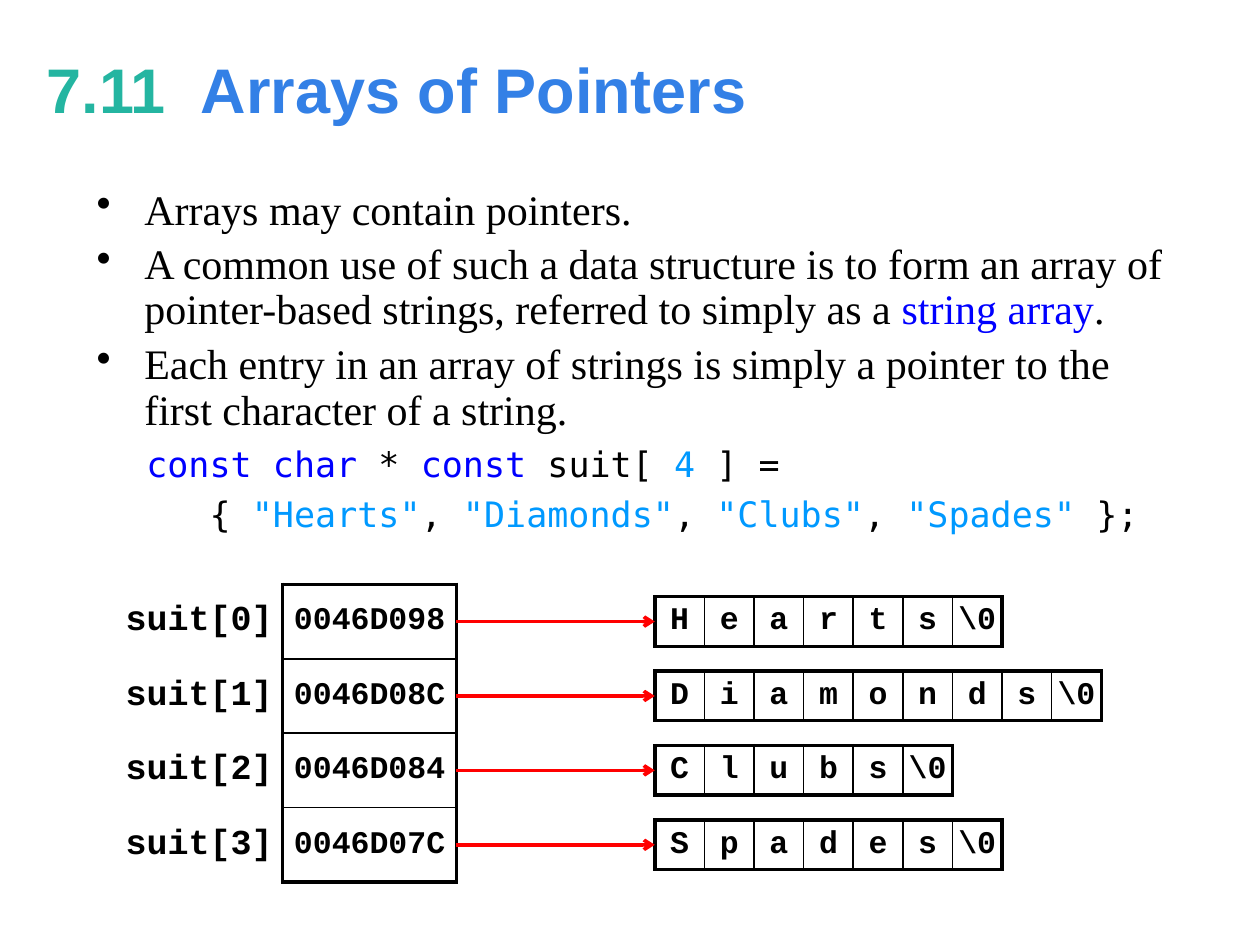
"""Build the slide on arrays of pointers, with a memory diagram of four strings."""
from dataclasses import dataclass
from typing import NamedTuple

from lxml import etree
from pptx import Presentation
from pptx import util as u
from pptx.dml import color
from pptx.enum import shapes, text
from pptx.oxml import ns

BLACK, BLUE, SKY, RED = "000000", "0000FF", "0099FF", "FF0000"
THICK, THIN = 2.25, 1
MONO = "Courier New"
ROW_HEIGHT, LETTER_SIZE = 1.5, 1
SUITS_LEFT, SUITS_TOP, COLUMN_WIDTH = 2.2, 11.78, 3.5
ARROW_LEFT, STRINGS_LEFT = SUITS_LEFT + 2 * COLUMN_WIDTH, 13.2


class Span(NamedTuple):
    text: str
    color: str = BLACK


@dataclass
class Line:
    spans: list[Span]
    size: float
    font: str
    bold: bool = False
    bullet: bool = False
    indent: float = 0
    spacing: float = 1
    before: float = 0


@dataclass
class Cell:
    text: str
    size: float
    align: text.PP_ALIGN
    borders: dict[str, float]
    margins: tuple[float, float] = (0, 0)


class Suit(NamedTuple):
    address: str
    name: str


TITLE = [Line([Span("7.11  ", "24B5A1"), Span("Arrays of Pointers", "3380E6")], 36, "Arial", bold=True)]


def bullet_line(*spans: Span, spacing: float = 0.9, before: float = 5.5) -> Line:
    return Line(list(spans), 24, "Times New Roman", bullet=True, indent=0.96, spacing=spacing, before=before)


def code_line(*spans: Span) -> Line:
    return Line(list(spans), 20, "DejaVu Sans Mono", indent=1, before=4.7)


BODY = [
    bullet_line(Span("Arrays may contain pointers."), spacing=1, before=0),
    bullet_line(
        Span("A common use of such a data structure is to form an array of "
             "pointer-based strings, referred to simply as a "),
        Span("string array", BLUE), Span(".")),
    bullet_line(Span("Each entry in an array of strings is simply a pointer to the "
                     "first character of a string.")),
    code_line(Span("const char", BLUE), Span(" * "), Span("const ", BLUE),
              Span("suit[ "), Span("4", SKY), Span(" ] =")),
    code_line(Span("   { "), Span('"Hearts"', SKY), Span(", "), Span('"Diamonds"', SKY), Span(", "),
              Span('"Clubs"', SKY), Span(", "), Span('"Spades"', SKY), Span(" };")),
]
SUITS = [
    Suit("0046D098", "Hearts"),
    Suit("0046D08C", "Diamonds"),
    Suit("0046D084", "Clubs"),
    Suit("0046D07C", "Spades"),
]


def rgb(value: str) -> color.RGBColor:
    return color.RGBColor.from_string(value)


def add_child(parent, tag: str, **attributes: str):
    return etree.SubElement(parent, ns.qn(tag), attributes)


def write_line(para, line: Line) -> None:
    properties = para._p.get_or_add_pPr()
    properties.set("marL", str(u.Cm(line.indent)))
    properties.set("indent", str(-u.Cm(line.indent) if line.bullet else 0))
    if line.bullet:
        add_child(properties, "a:buChar", char="•")
    else:
        add_child(properties, "a:buNone")
    para.line_spacing, para.space_before = line.spacing, u.Pt(line.before)
    para.font.size, para.font.name, para.font.bold = u.Pt(line.size), line.font, line.bold
    for span in line.spans:
        run = para.add_run()
        run.text = span.text
        run.font.color.rgb = rgb(span.color)


def add_text(page, left: float, top: float, width: float, height: float,
             lines: list[Line], anchor: text.MSO_ANCHOR) -> None:
    box = page.shapes.add_textbox(u.Cm(left), u.Cm(top), u.Cm(width), u.Cm(height))
    frame = box.text_frame
    frame.word_wrap, frame.vertical_anchor = True, anchor
    for index, line in enumerate(lines):
        write_line(frame.add_paragraph() if index else frame.paragraphs[0], line)


def fill_cell(target, cell: Cell) -> None:
    properties = target._tc.get_or_add_tcPr()
    for side in "LRTB":
        width = cell.borders.get(side, 0)
        border = add_child(properties, f"a:ln{side}", w=str(u.Pt(width)))
        if width:
            add_child(add_child(border, "a:solidFill"), "a:srgbClr", val=BLACK)
        else:
            add_child(border, "a:noFill")
    target.fill.background()
    target.margin_left = target.margin_right = u.Cm(cell.margins[0])
    target.margin_top = target.margin_bottom = u.Cm(cell.margins[1])
    target.vertical_anchor = text.MSO_ANCHOR.MIDDLE
    para = target.text_frame.paragraphs[0]
    para.alignment = cell.align
    para.text = cell.text
    font = para.font
    font.size, font.name, font.bold = u.Pt(cell.size), MONO, True
    font.color.rgb = rgb(BLACK)


def add_grid(page, left: float, top: float, column: float, row: float, rows: list[list[Cell]]) -> None:
    count = len(rows[0])
    table = page.shapes.add_table(len(rows), count, u.Cm(left), u.Cm(top),
                                  u.Cm(column * count), u.Cm(row * len(rows))).table
    table.first_row = table.horz_banding = False
    for row_index, cells in enumerate(rows):
        for column_index, cell in enumerate(cells):
            fill_cell(table.cell(row_index, column_index), cell)


def add_suits(page) -> None:
    rows, last = [], len(SUITS) - 1
    for index, suit in enumerate(SUITS):
        borders = {"L": THICK, "R": THICK, "T": THIN if index else THICK, "B": THIN if index < last else THICK}
        rows.append([
            Cell(f"suit[{index}]", 20, text.PP_ALIGN.RIGHT, {"R": THICK}, (0.2, 0.13)),
            Cell(suit.address, 18, text.PP_ALIGN.CENTER, borders, (0.2, 0.13)),
        ])
    add_grid(page, SUITS_LEFT, SUITS_TOP, COLUMN_WIDTH, ROW_HEIGHT, rows)


def add_string(page, name: str, middle: float) -> None:
    letters = [*name, r"\0"]
    last = len(letters) - 1
    cells = [
        Cell(letter, 18, text.PP_ALIGN.CENTER,
             {"L": THIN if index else THICK, "R": THIN if index < last else THICK, "T": THICK, "B": THICK})
        for index, letter in enumerate(letters)
    ]
    add_grid(page, STRINGS_LEFT, middle - LETTER_SIZE / 2, LETTER_SIZE, LETTER_SIZE, [cells])


def add_arrow(page, middle: float) -> None:
    arrow = page.shapes.add_connector(shapes.MSO_CONNECTOR.STRAIGHT, u.Cm(ARROW_LEFT), u.Cm(middle),
                                      u.Cm(STRINGS_LEFT), u.Cm(middle))
    arrow.line.color.rgb, arrow.line.width = rgb(RED), u.Pt(2)
    add_child(arrow.line._get_or_add_ln(), "a:tailEnd", type="arrow")
    add_child(arrow._element.spPr, "a:effectLst")


def main() -> None:
    deck = Presentation()
    deck.slide_width, deck.slide_height = u.Cm(25.4), u.Cm(19.05)
    page = deck.slides.add_slide(deck.slide_layouts[6])
    add_text(page, 0.69, 0.53, 24, 2.5, TITLE, text.MSO_ANCHOR.MIDDLE)
    add_text(page, 1.7, 3.57, 22, 7.7, BODY, text.MSO_ANCHOR.TOP)
    add_suits(page)
    middles = [SUITS_TOP + (index + 0.5) * ROW_HEIGHT for index in range(len(SUITS))]
    for suit, middle in zip(SUITS, middles):
        add_string(page, suit.name, middle)
    for middle in middles:
        add_arrow(page, middle)
    deck.save("out.pptx")


if __name__ == "__main__":
    main()
